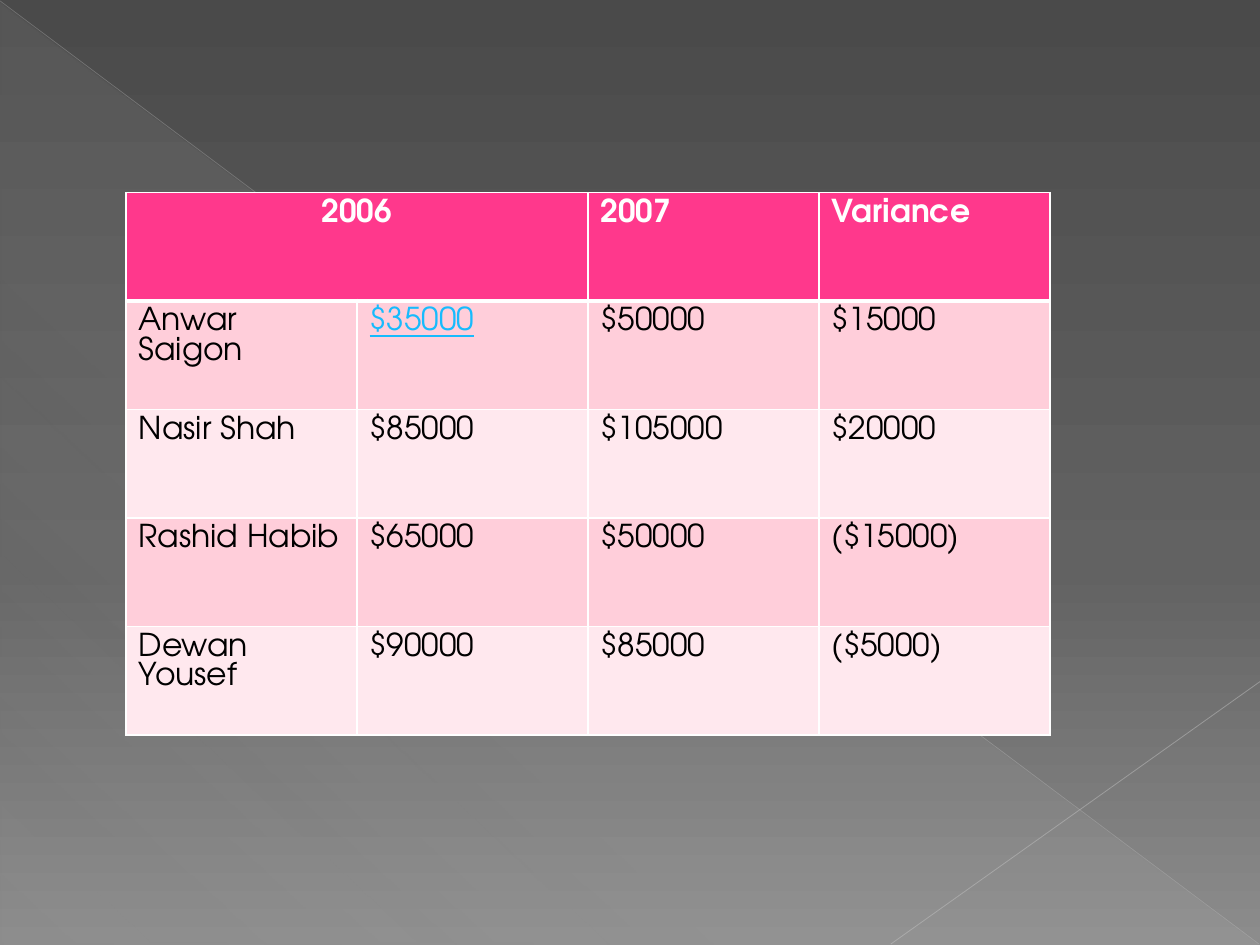
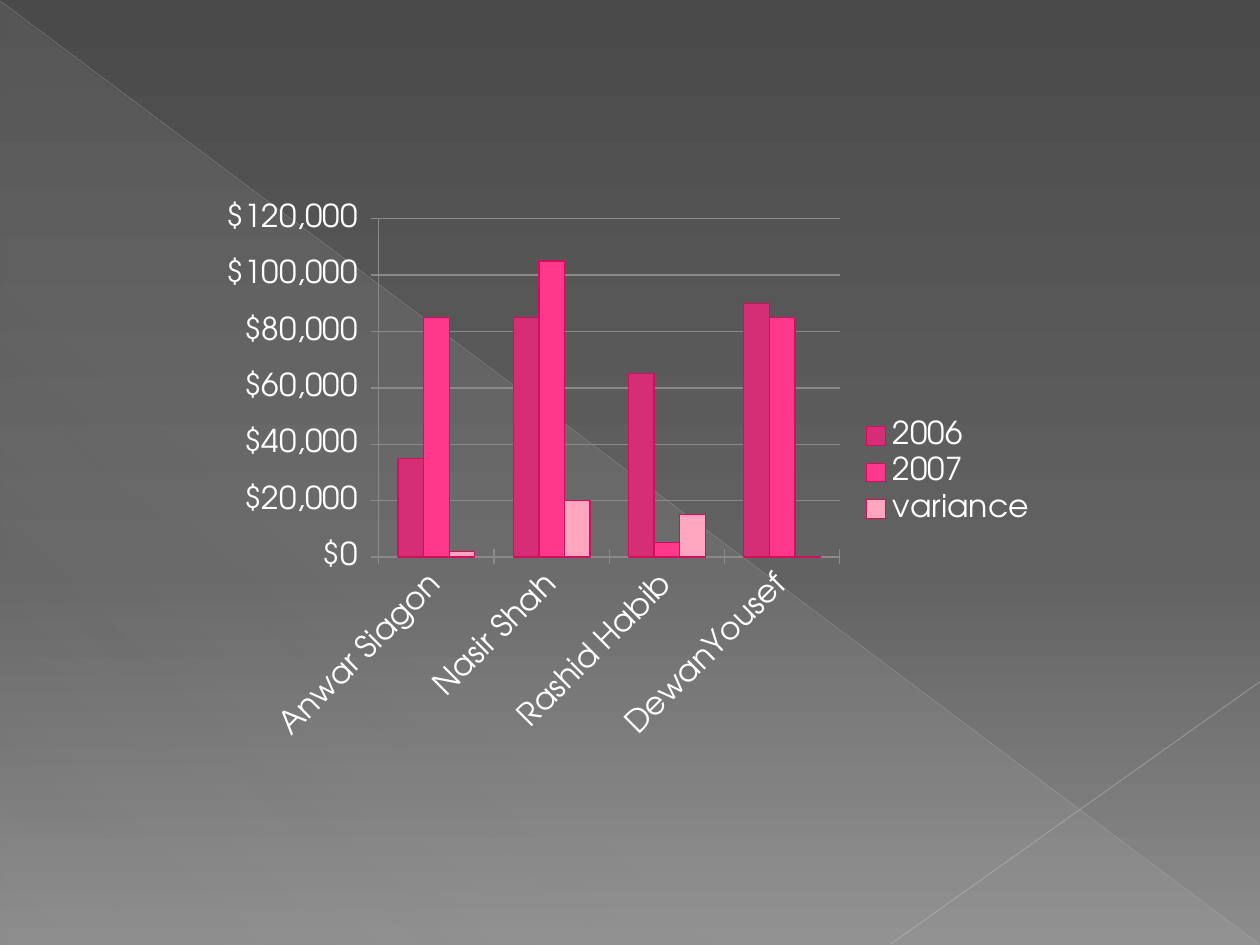
import pptx
import pptx.chart.data
import pptx.dml.color
import pptx.enum.chart
import pptx.enum.shapes
import pptx.enum.text
import pptx.oxml
import pptx.oxml.ns
import pptx.util

Pt = pptx.util.Pt
qn = pptx.oxml.ns.qn
NS = pptx.oxml.ns.nsdecls("a")
FONT = "TeX Gyre Adventor"
HUES = {
    "top": "4A4A4A", "mid": "626262", "base": "8C8C8C",
    "veil": "D2D2D2", "slant": "BFBFBF", "cross": "C6C6C6",
    "white": "FFFFFF", "black": "000000", "link": "17BBFD",
    "pink": "FF388C", "rose": "FFCEDA", "blush": "FFE8EE",
    "berry": "D62E75", "candy": "FFA5BF", "edge": "D0105F",
    "grid": "8A8A8A",
}


def rgb(name):
    return pptx.dml.color.RGBColor.from_string(HUES[name])


def blend(stops, angle):
    marks = "".join(
        f'<a:gs pos="{pos * 1000}"><a:srgbClr val="{HUES[hue]}">'
        f'<a:alpha val="{alpha * 1000}"/></a:srgbClr></a:gs>'
        for pos, hue, alpha in stops)
    return pptx.oxml.parse_xml(
        f'<a:gradFill {NS} rotWithShape="1"><a:gsLst>{marks}</a:gsLst>'
        f'<a:lin ang="{angle * 60000}" scaled="0"/></a:gradFill>')


def swap(parent, fill):
    old = parent.find(qn("a:solidFill"))
    parent.replace(old, fill)


class Deck:
    def __init__(self):
        self.prs = pptx.Presentation()
        self.prs.slide_width, self.prs.slide_height = Pt(720), Pt(540)
        self.slide = None

    def page(self):
        self.slide = self.prs.slides.add_slide(self.prs.slide_layouts[6])
        back = self.slide.background
        back.fill.solid()
        swap(back._cSld.bg.bgPr, blend(
            [(0, "top", 100), (60, "mid", 100), (100, "base", 100)], 90))
        self.veil(0.5, 1.5, 719, 538.5)
        self.line(0, 0.5, 719.5, 539.5, "slant", 0.39, 35)
        self.line(720, 389.5, 509, 539.5, "cross", 0.47, 45)

    def veil(self, x, y, w, h):
        shape = self.slide.shapes.add_shape(
            pptx.enum.shapes.MSO_SHAPE.RIGHT_TRIANGLE, Pt(x), Pt(y), Pt(w), Pt(h))
        shape.shadow.inherit = False
        shape.line.fill.background()
        shape.fill.solid()
        swap(shape._element.spPr, blend(
            [(0, "veil", 10), (70, "veil", 8), (100, "veil", 1)], 133))

    def line(self, x1, y1, x2, y2, hue, width, alpha):
        line = self.slide.shapes.add_connector(
            pptx.enum.shapes.MSO_CONNECTOR.STRAIGHT, Pt(x1), Pt(y1), Pt(x2), Pt(y2))
        line.line.width = Pt(width)
        line.line.color.rgb = rgb(hue)
        props = line._element.spPr
        color = next(props.iter(qn("a:srgbClr")))
        color.append(pptx.oxml.parse_xml(f'<a:alpha {NS} val="{alpha * 1000}"/>'))
        props.append(pptx.oxml.parse_xml(f"<a:effectLst {NS}/>"))

    def style(self, font, hue, bold=False):
        font.name = FONT
        font.size = Pt(18)
        font.bold = bold
        font.color.rgb = rgb(hue)

    def edges(self, cell, top, bottom):
        props = cell._tc.get_or_add_tcPr()
        for i, (side, width) in enumerate(
                [("L", 1), ("R", 1), ("T", top), ("B", bottom)]):
            props.insert(i, pptx.oxml.parse_xml(
                f'<a:ln{side} {NS} w="{Pt(width)}"><a:solidFill>'
                f'<a:srgbClr val="{HUES["white"]}"/></a:solidFill></a:ln{side}>'))

    def table(self, x, y, w, h, rows, link):
        grid = self.slide.shapes.add_table(
            len(rows), len(rows[0]), Pt(x), Pt(y), Pt(w), Pt(h)).table
        grid.horz_banding = False
        for r, row in enumerate(rows):
            head = r == 0
            fill = "pink" if head else ("blush", "rose")[r % 2]
            for c, text in enumerate(row):
                cell = grid.cell(r, c)
                cell.fill.solid()
                cell.fill.fore_color.rgb = rgb(fill)
                self.edges(cell, 3 if r == 1 else 1, 3 if head else 1)
                cell.text_frame.text = text
                for run in cell.text_frame.paragraphs[0].runs:
                    self.style(run.font, "white" if head else "black", head)
                    if (r, c) == link:
                        run.font.color.rgb = rgb("link")
                        run.font.underline = True
        grid.cell(0, 0).merge(grid.cell(0, 1))
        first = grid.cell(0, 0).text_frame.paragraphs[0]
        first.alignment = pptx.enum.text.PP_ALIGN.CENTER

    def chart(self, x, y, w, h, names, series):
        enum = pptx.enum.chart
        data = pptx.chart.data.CategoryChartData()
        data.categories = names
        for name, hue, values in series:
            data.add_series(name, values)
        chart = self.slide.shapes.add_chart(
            enum.XL_CHART_TYPE.COLUMN_CLUSTERED,
            Pt(x), Pt(y), Pt(w), Pt(h), data).chart
        self.style(chart.font, "white")
        chart.has_title = False
        chart.has_legend = True
        chart.legend.position = enum.XL_LEGEND_POSITION.RIGHT
        chart.legend.include_in_layout = False
        plot = chart.plots[0]
        plot.vary_by_categories = False
        plot.gap_width = 150
        plot.overlap = 0
        for bars, (name, hue, values) in zip(plot.series, series):
            bars.format.fill.solid()
            bars.format.fill.fore_color.rgb = rgb(hue)
            bars.format.line.color.rgb = rgb("edge")
            bars.format.line.width = Pt(0.75)
        for axis in (chart.category_axis, chart.value_axis):
            axis.major_tick_mark = enum.XL_TICK_MARK.CROSS
            axis.format.line.color.rgb = rgb("grid")
            self.style(axis.tick_labels.font, "white")
        tilt = next(chart.category_axis._element.iter(qn("a:bodyPr")))
        tilt.set("rot", "-2700000")
        axis = chart.value_axis
        axis.has_major_gridlines = True
        axis.major_gridlines.format.line.color.rgb = rgb("grid")
        axis.tick_labels.number_format = '"$"#,##0_);[Red]\\("$"#,##0\\)'
        axis.tick_labels.number_format_is_linked = False


deck = Deck()

deck.page()
deck.table(72, 110, 528, 310, [
    ["2006", "", "2007", "Variance "],
    ["Anwar Saigon", "$35000", "$50000", "$15000"],
    ["Nasir Shah", "$85000", "$105000", "$20000"],
    ["Rashid Habib", "$65000", "$50000", "($15000)"],
    ["Dewan Yousef", "$90000", "$85000", "($5000)"],
], link=(1, 1))

deck.page()
deck.chart(
    120, 110, 480, 320,
    ["Anwar Siagon", "Nasir Shah", "Rashid Habib", "DewanYousef"],
    [("2006", "berry", [35000, 85000, 65000, 90000]),
     ("2007", "pink", [85000, 105000, 5000, 85000]),
     ("variance", "candy", [2000, 20000, 15000, 0])])

deck.prs.save("out.pptx")
